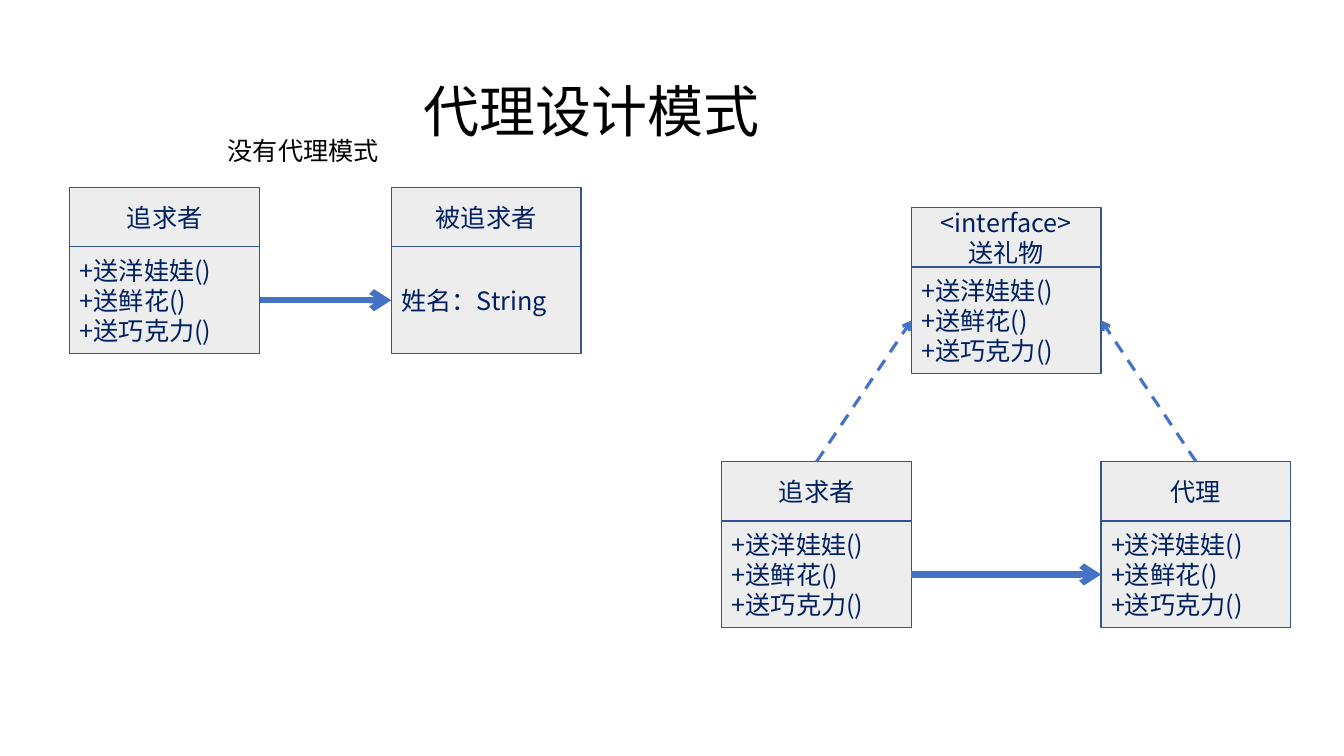
from lxml.etree import SubElement
from pptx import Presentation
from pptx.dml.color import RGBColor
from pptx.enum.dml import MSO_LINE
from pptx.enum.shapes import MSO_CONNECTOR, MSO_SHAPE
from pptx.enum.text import MSO_ANCHOR, PP_ALIGN
from pptx.oxml.ns import qn
from pptx.util import Cm, Pt

BLACK = RGBColor(0x00, 0x00, 0x00)
NAVY = RGBColor(0x00, 0x20, 0x60)
GRAY = RGBColor(0xED, 0xED, 0xED)
EDGE = RGBColor(0x32, 0x54, 0x91)
BLUE = RGBColor(0x44, 0x72, 0xC4)
FONT = "Noto Sans CJK SC"

WIDE, HEAD, BODY = 4.78, 1.5, 2.69  # size of a class box, in cm
GIFTS = "+送洋娃娃()\n+送鲜花()\n+送巧克力()"
TOP, LEFT, RIGHT = 0, 1, 3


def write(shape, text, size=18, color=NAVY, align=PP_ALIGN.LEFT,
          anchor=MSO_ANCHOR.MIDDLE, wrap=True, space=None):
    frame = shape.text_frame
    frame.word_wrap = wrap
    frame.vertical_anchor = anchor
    frame.text = text
    for para in frame.paragraphs:
        para.alignment = align
        para.line_spacing = space
        for run in para.runs:
            font = run.font
            font.size = Pt(size)
            font.name = FONT
            font.color.rgb = color
            SubElement(font.fill._xPr, qn("a:ea")).set("typeface", FONT)


def label(slide, x, y, w, h, text, **look):
    box = slide.shapes.add_textbox(Cm(x), Cm(y), Cm(w), Cm(h))
    write(box, text, color=BLACK, **look)


def panel(slide, x, y, h, text, **look):
    rect = slide.shapes.add_shape(MSO_SHAPE.RECTANGLE,
                                  Cm(x), Cm(y), Cm(WIDE), Cm(h))
    rect.shadow.inherit = False
    rect.fill.solid()
    rect.fill.fore_color.rgb = GRAY
    rect.line.color.rgb = EDGE
    rect.line.width = Pt(1)
    write(rect, text, **look)
    return rect


def entity(slide, x, y, name, text=GIFTS):
    """Draw a class box and return its head and body."""
    head = panel(slide, x, y, HEAD, name, align=PP_ALIGN.CENTER)
    body = panel(slide, x, y + HEAD, BODY, text)
    return head, body


def arrow(slide, start, side, end, stop, width=4.5, dash=None):
    link = slide.shapes.add_connector(MSO_CONNECTOR.STRAIGHT, 0, 0, 0, 0)
    link.begin_connect(start, side)
    link.end_connect(end, stop)
    link.line.color.rgb = BLUE
    link.line.width = Pt(width)
    if dash:
        link.line.dash_style = dash
    props = link.element.spPr
    SubElement(props.find(qn("a:ln")), qn("a:tailEnd")).set("type", "arrow")
    SubElement(props, qn("a:effectLst"))


def direct(slide, x, y):
    """Draw the case without a proxy."""
    label(slide, x + 3.73, y - 1.44, 4.37, 1.02, "没有代理模式",
          anchor=MSO_ANCHOR.TOP, wrap=False)
    suitor = entity(slide, x, y, "追求者")[1]
    loved = entity(slide, x + 8.1, y, "被追求者", "姓名：String")[1]
    arrow(slide, suitor, RIGHT, loved, LEFT)


def proxy(slide, x, y):
    """Draw the case where suitor and proxy share an interface."""
    low = y + 6.4
    agent = entity(slide, x + 2 * WIDE, low, "代理")
    suitor = entity(slide, x, low, "追求者")
    giver = entity(slide, x + WIDE, y, "<interface>\n送礼物")[1]
    arrow(slide, suitor[1], RIGHT, agent[1], LEFT)
    for child, side in ((suitor, LEFT), (agent, RIGHT)):
        arrow(slide, child[0], TOP, giver, side,
              width=2.25, dash=MSO_LINE.DASH)


def main():
    deck = Presentation()
    deck.slide_width, deck.slide_height = Cm(33.87), Cm(19.05)
    slide = deck.slides.add_slide(deck.slide_layouts[6])
    label(slide, 3.84, 1.52, 22.12, 2.26, "代理设计模式", size=40,
          align=PP_ALIGN.CENTER, anchor=MSO_ANCHOR.BOTTOM, space=0.9)
    direct(slide, 1.76, 4.72)
    proxy(slide, 18.19, 5.23)
    deck.save("out.pptx")


if __name__ == "__main__":
    main()
